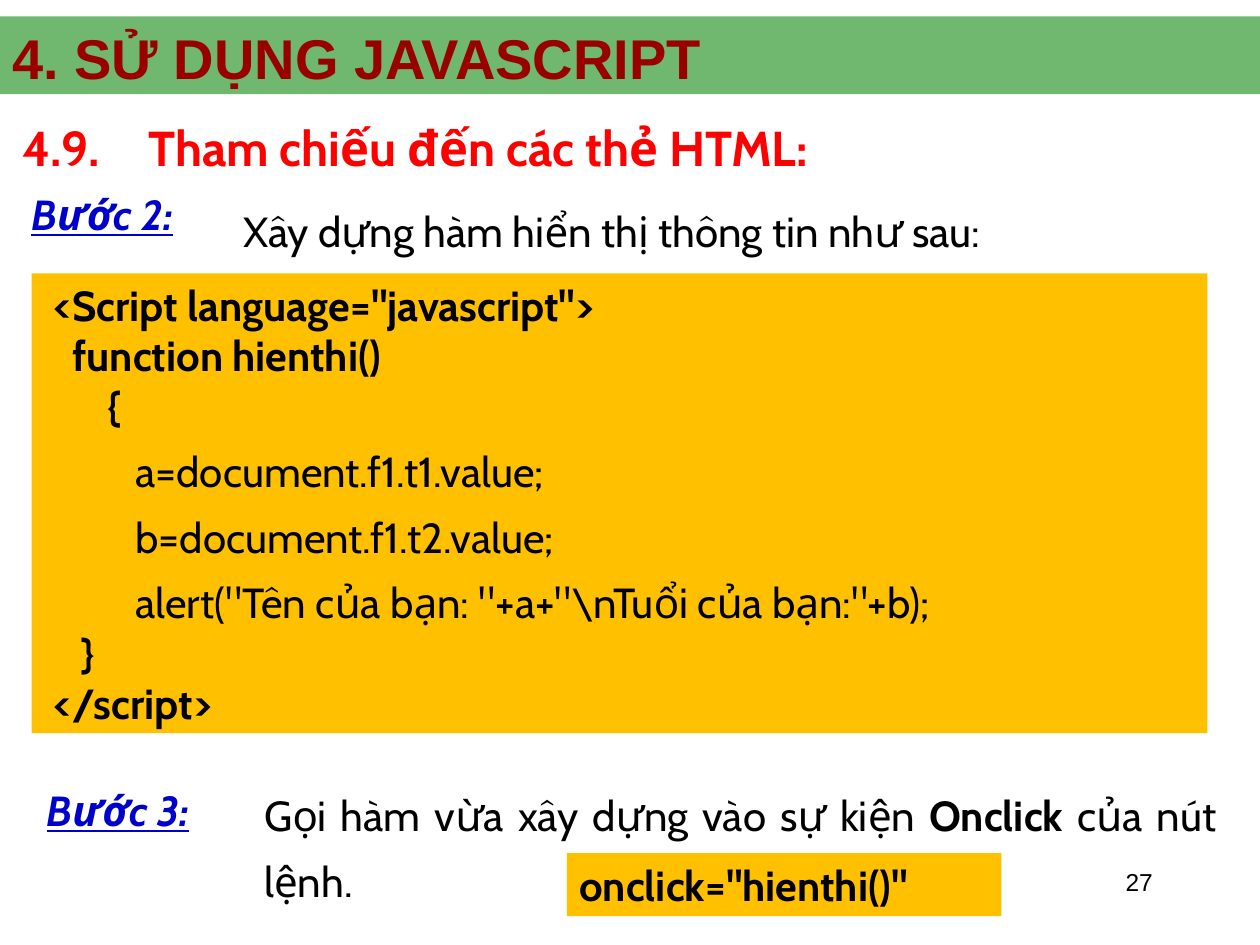
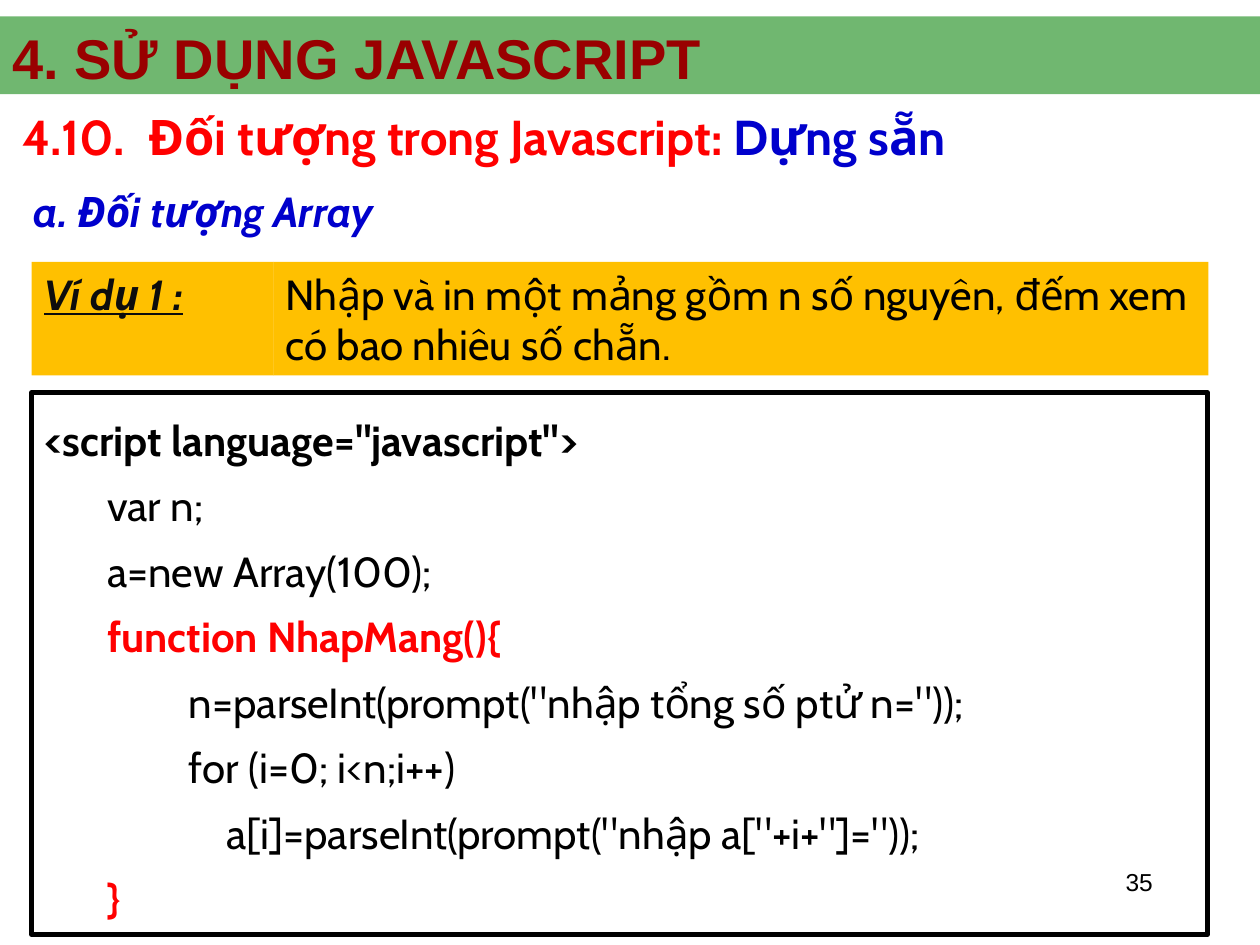
from dataclasses import dataclass

from lxml import etree
from pptx import Presentation
from pptx.dml.color import RGBColor
from pptx.enum.shapes import MSO_SHAPE
from pptx.enum.text import MSO_ANCHOR, PP_ALIGN
from pptx.oxml.ns import qn
from pptx.util import Cm, Pt

RECT = MSO_SHAPE.RECTANGLE
TOP, MIDDLE = MSO_ANCHOR.TOP, MSO_ANCHOR.MIDDLE
LEFT, RIGHT, FULL = PP_ALIGN.LEFT, PP_ALIGN.RIGHT, PP_ALIGN.JUSTIFY


@dataclass(frozen=True)
class Theme:
    sans: str = "Arial"
    body: str = "Cabin"
    black: str = "000000"
    ink: str = "0D0D0D"
    red: str = "FF0000"
    maroon: str = "990000"
    blue: str = "0000CC"
    amber: str = "FFC000"
    green: str = "008000"
    title: int = 32
    head: int = 28
    text: int = 24
    page: int = 14
    loose: float = 1.3


T = Theme()


def panel(slide, box, fill=None, line=None):
    shape = slide.shapes.add_shape(RECT, *map(Cm, box))
    shape.shadow.inherit = False
    if fill:
        shape.fill.solid()
        shape.fill.fore_color.rgb = RGBColor.from_string(fill)
    else:
        shape.fill.background()
    if line:
        shape.line.color.rgb = RGBColor.from_string(line)
        shape.line.width = Pt(3)
    else:
        shape.line.fill.background()
    return shape


def write(slide, box, lines, shape=None, anchor=TOP, align=LEFT, **base):
    """Write lines, each a list of (text, format) runs, into shape or a new box.

    The first run of a line also sets its level and line spacing.
    """
    shape = shape or slide.shapes.add_textbox(*map(Cm, box))
    frame = shape.text_frame
    frame.word_wrap = True
    frame.vertical_anchor = anchor
    for i, runs in enumerate(lines):
        para = frame.add_paragraph() if i else frame.paragraphs[0]
        para.alignment = align
        first = {**base, **runs[0][1]}
        para.line_spacing = first.get("gap", 1.0)
        if first.get("level"):
            para.level = first["level"]
            props = para._p.get_or_add_pPr()
            props.set("marL", str(Cm(1.27 * para.level)))
            props.set("indent", "0")
        for words, own in runs:
            look = {**base, **own}
            run = para.add_run()
            run.text = words
            font = run.font
            font.name = look.get("face", T.body)
            font.size = Pt(look.get("size", T.text))
            font.bold = look.get("bold", False)
            font.italic = look.get("slant", False)
            font.underline = look.get("under", False)
            font.color.rgb = RGBColor.from_string(look.get("color", T.black))


deck = Presentation()
deck.slide_width, deck.slide_height = Cm(25.4), Cm(19.05)
blank = deck.slide_layouts[6]

# Shared frame: page number, band, title and section heading
heads = [
    ("27", 2.11, [("4.9.\tTham chiếu đến các thẻ HTML:", {})]),
    ("35", 1.9, [("4.10.\tĐối tượng trong Javascript: ", {}),
                 ("Dựng sẵn", {"color": T.blue})]),
]
for page, top, head in heads:
    slide = deck.slides.add_slide(blank)
    write(slide, (18.21, 17.35, 5.28, 1.27), [[(page, {})]],
          align=RIGHT, face=T.sans, size=T.page)
    band = panel(slide, (0, 0.33, 25.4, 1.57), T.green)
    tint = band.fill._xPr.find(".//" + qn("a:srgbClr"))
    etree.SubElement(tint, qn("a:alpha")).set("val", "56000")
    write(slide, (0, 0.61, 25.4, 1.07), [[("4. SỬ DỤNG JAVASCRIPT", {})]],
          anchor=MIDDLE, face=T.sans, size=T.title, color=T.maroon, bold=True)
    write(slide, (0.2, top, 24.13, 1.7), [head],
          anchor=MIDDLE, size=T.head, color=T.red, bold=True)

steps, array = deck.slides

# Steps 2 and 3
bold = {"bold": True}
deep = {"level": 1, "gap": T.loose}
code = [
    (' <Script language="javascript">', bold),
    ("   function hienthi()", bold),
    ("{", {"level": 1, "bold": True}),
    ("   a=document.f1.t1.value;", deep),
    ("   b=document.f1.t2.value;", deep),
    ('   alert("Tên của bạn: "+a+"\\nTuổi của bạn:"+b);', deep),
    ("    }", bold),
    (" </script>", bold),
]
box = (0.64, 5.51, 23.7, 9.27)
write(steps, box, [[line] for line in code], panel(steps, box, T.amber))

for label, left, top in [("Bước 2:", 0.38, 3.38), ("Bước 3:", 0.69, 15.39)]:
    write(steps, (left, top, 4.5, 1.57), [[(label, {})]], gap=T.loose,
          color=T.blue, bold=True, slant=True, under=True)

write(steps, (4.65, 3.71, 17.78, 1.57),
      [[("Xây dựng hàm hiển thị thông tin như sau:", {})]],
      align=FULL, gap=T.loose)
write(steps, (5.08, 15.49, 19.69, 2.9),
      [[("Gọi hàm vừa xây dựng vào sự kiện ", {}), ("Onclick", bold),
        (" của nút lệnh.", {})]], align=FULL, gap=T.loose)
box = (11.43, 17.2, 8.76, 1.27)
write(steps, box, [[('onclick="hienthi()"', bold)]],
      panel(steps, box, T.amber))

# Array example
write(array, (0.43, 3.61, 10.59, 1.27), [[("a. Đối tượng Array", {})]],
      color=T.blue, bold=True, slant=True)

mark = {"level": 1, "color": T.red, "bold": True}
code = [
    ('<script language="javascript">', bold),
    ("var n;", {"level": 1}),
    ("a=new Array(100);", {"level": 1}),
    ("function NhapMang(){", mark),
    ('  n=parseInt(prompt("nhập tổng số ptử n="));', {"level": 2}),
    ("  for (i=0; i<n;i++)", {"level": 2}),
    ('      a[i]=parseInt(prompt("nhập a["+i+"]="));', {"level": 2}),
    ("}", mark),
]
box = (0.64, 7.92, 23.7, 10.92)
write(array, box, [[line] for line in code],
      panel(array, box, line=T.black), gap=T.loose)

label = {"color": T.ink, "bold": True, "slant": True, "under": True}
task = "Nhập và in một mảng gồm n số nguyên, đếm xem có bao nhiêu số chẵn."
for left, width, words, look in [(0.64, 4.88, "Ví dụ 1 :", label),
                                 (5.51, 18.85, task, {})]:
    box = (left, 5.28, width, 2.29)
    write(array, box, [[(words, look)]], panel(array, box, T.amber))

deck.save("out.pptx")
